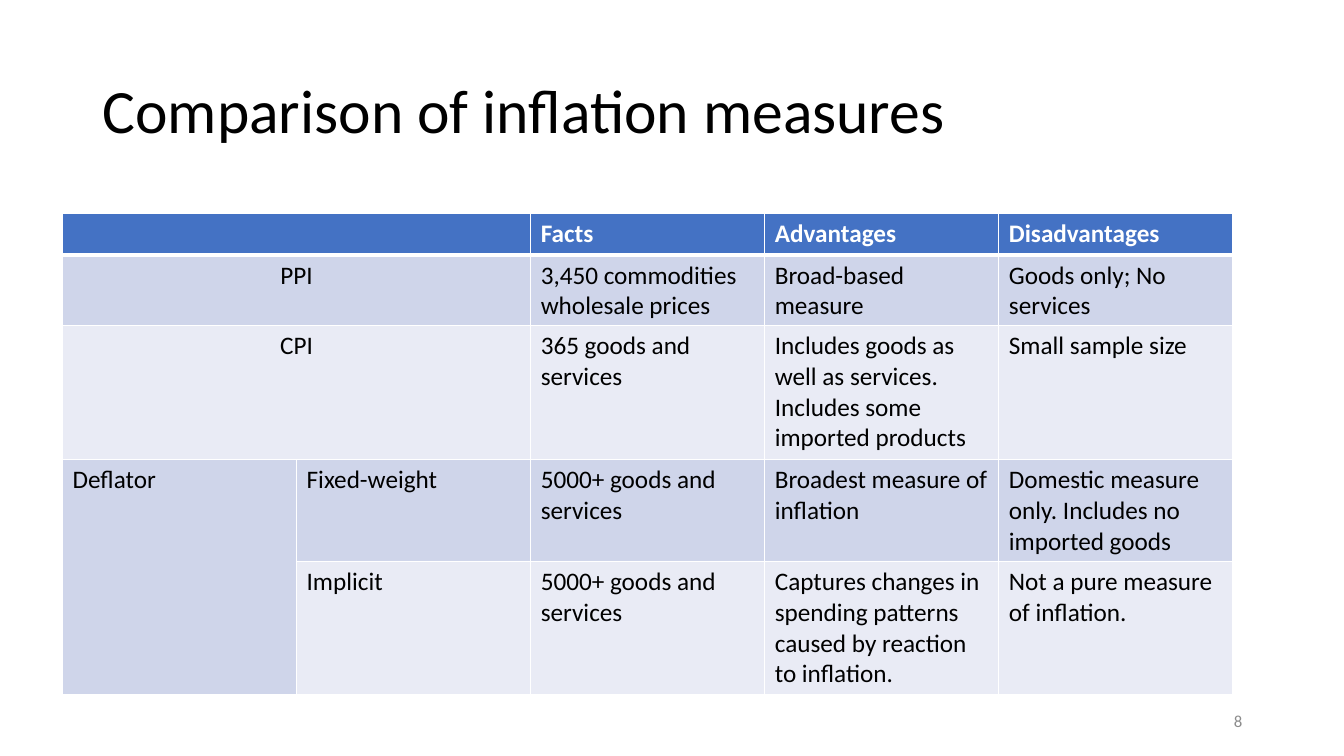
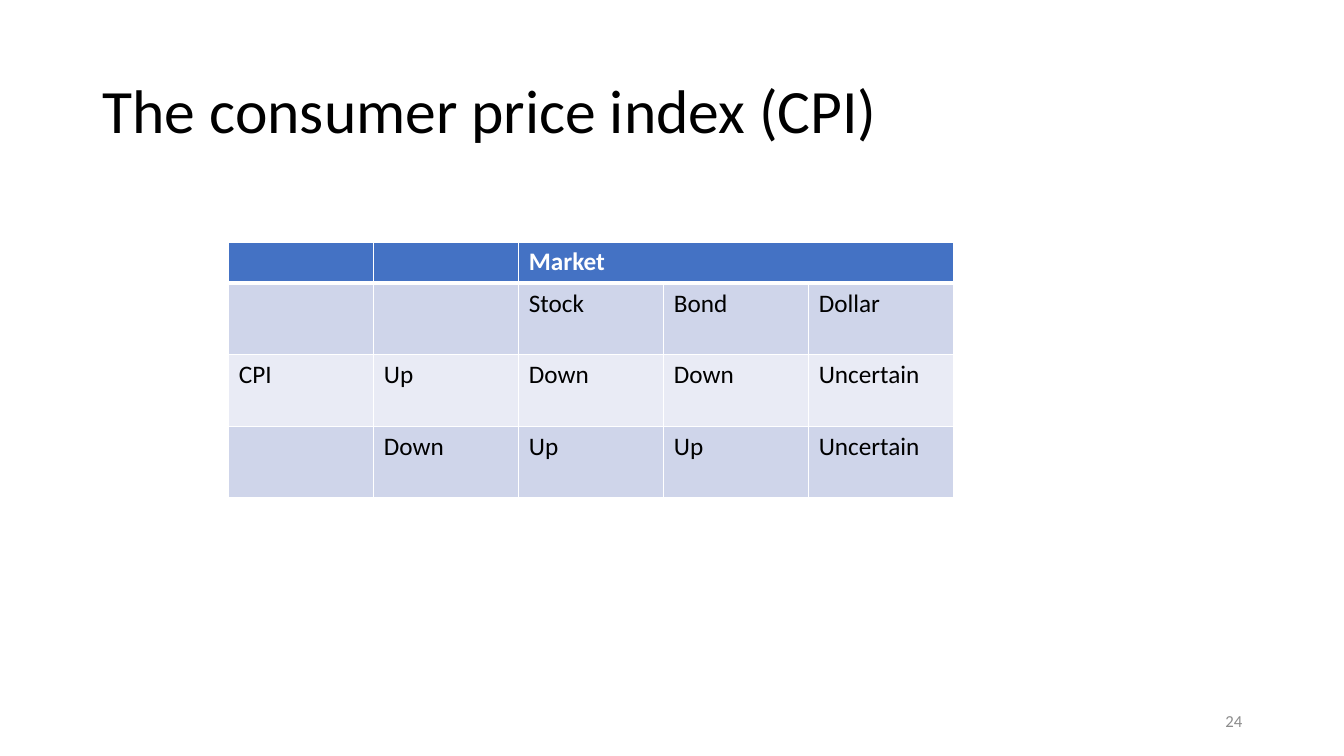
import pptx
import pptx.util
import pptx.dml.color
import pptx.enum.text
import pptx.oxml
import pptx.oxml.ns

WIDE, HIGH = 13.33, 7.5
FONT = "Calibri"
WHITE, BLACK, GREY = "FFFFFF", "000000", "8C8C8C"
HEAD, BANDS = "4472C4", ("CFD5EA", "E9EBF5")
ALIGN = pptx.enum.text.PP_ALIGN
ANCHOR = pptx.enum.text.MSO_ANCHOR


def inch(*sizes):
    """Turn numbers into lengths in inches."""
    return [pptx.util.Inches(size) for size in sizes]


def tint(text):
    """Turn a hex string into a colour."""
    return pptx.dml.color.RGBColor.from_string(text)


def write(frame, text, size=18, color=BLACK, bold=False, align=ALIGN.LEFT, line=None):
    """Put one formatted paragraph in a text frame."""
    para = frame.paragraphs[0]
    para.alignment = align
    if line:
        para.line_spacing = line
    run = para.add_run()
    run.text = text
    font = run.font
    font.name, font.size, font.bold = FONT, pptx.util.Pt(size), bold
    font.color.rgb = tint(color)


def label(slide, box, text, **style):
    """Add a wrapped text box, centred in height."""
    frame = slide.shapes.add_textbox(*inch(*box)).text_frame
    frame.word_wrap = True
    frame.vertical_anchor = ANCHOR.MIDDLE
    write(frame, text, **style)


def edge(cell, row):
    """Draw white cell borders, thick below the header row."""
    widths = {"L": 1, "R": 1, "T": 3 if row == 1 else 1, "B": 3 if row == 0 else 1}
    space = pptx.oxml.ns.nsdecls("a")
    props = cell._tc.get_or_add_tcPr()
    for place, (side, width) in enumerate(widths.items()):
        props.insert(place, pptx.oxml.parse_xml(
            f'<a:ln{side} {space} w="{pptx.util.Pt(width)}"><a:solidFill>'
            f'<a:srgbClr val="{WHITE}"/></a:solidFill></a:ln{side}>'))


def grid(slide, box, rows, heights, spans):
    """Add a banded table whose equal columns fill the box."""
    left, top, width = box
    count = len(rows[0])
    frame = slide.shapes.add_table(
        len(rows), count, *inch(left, top, width, sum(heights)))
    table = frame.table
    for column in table.columns:
        column.width = pptx.util.Inches(width / count)
    for first, last in spans:
        table.cell(*first).merge(table.cell(*last))
    for r, texts in enumerate(rows):
        table.rows[r].height = pptx.util.Inches(heights[r])
        for c, text in enumerate(texts):
            cell = table.cell(r, c)
            cell.fill.solid()
            cell.fill.fore_color.rgb = tint(BANDS[(r - 1) % 2] if r else HEAD)
            edge(cell, r)
            if text:
                wide = r > 0 and cell.span_width > 1
                write(cell.text_frame, text, bold=r == 0,
                      color=BLACK if r else WHITE,
                      align=ALIGN.CENTER if wide else ALIGN.LEFT)


def page(deck, title, number, **table):
    """Add a slide with a title, a table and a page number."""
    slide = deck.slides.add_slide(deck.slide_layouts[6])
    label(slide, (0.92, 0.4, 11.5, 1.45), title, size=44, line=0.9)
    grid(slide, **table)
    label(slide, (9.42, 6.95, 3, 0.4), str(number), size=12, color=GREY,
          align=ALIGN.RIGHT)


def main():
    """Build and save the deck."""
    deck = pptx.Presentation()
    deck.slide_width, deck.slide_height = inch(WIDE, HIGH)
    page(deck, "Comparison of inflation measures", 8,
         box=(0.62, 2.12, 11.61),
         heights=(0.41, 0.7, 1.33, 1.01, 1.32),
         spans=[((r, 0), (r, 1)) for r in range(3)] + [((3, 0), (4, 0))],
         rows=[
             ("", "", "Facts", "Advantages", "Disadvantages"),
             ("PPI", "", "3,450 commodities wholesale prices",
              "Broad-based measure", "Goods only; No services"),
             ("CPI", "", "365 goods and services",
              "Includes goods as well as services. Includes some imported products",
              "Small sample size"),
             ("Deflator", "Fixed-weight", "5000+ goods and services",
              "Broadest measure of inflation",
              "Domestic measure only. Includes no imported goods"),
             ("", "Implicit", "5000+ goods and services",
              "Captures changes in spending patterns caused by reaction to inflation.",
              "Not a pure measure of inflation."),
         ])
    page(deck, "The consumer price index (CPI)", 24,
         box=(2.27, 2.4, 7.19),
         heights=(0.41, 0.71, 0.71, 0.71),
         spans=[((0, 2), (0, 4))],
         rows=[
             ("", "", "Market", "", ""),
             ("", "", "Stock", "Bond", "Dollar"),
             ("CPI", "Up", "Down", "Down", "Uncertain"),
             ("", "Down", "Up", "Up", "Uncertain"),
         ])
    deck.save("out.pptx")


if __name__ == "__main__":
    main()
